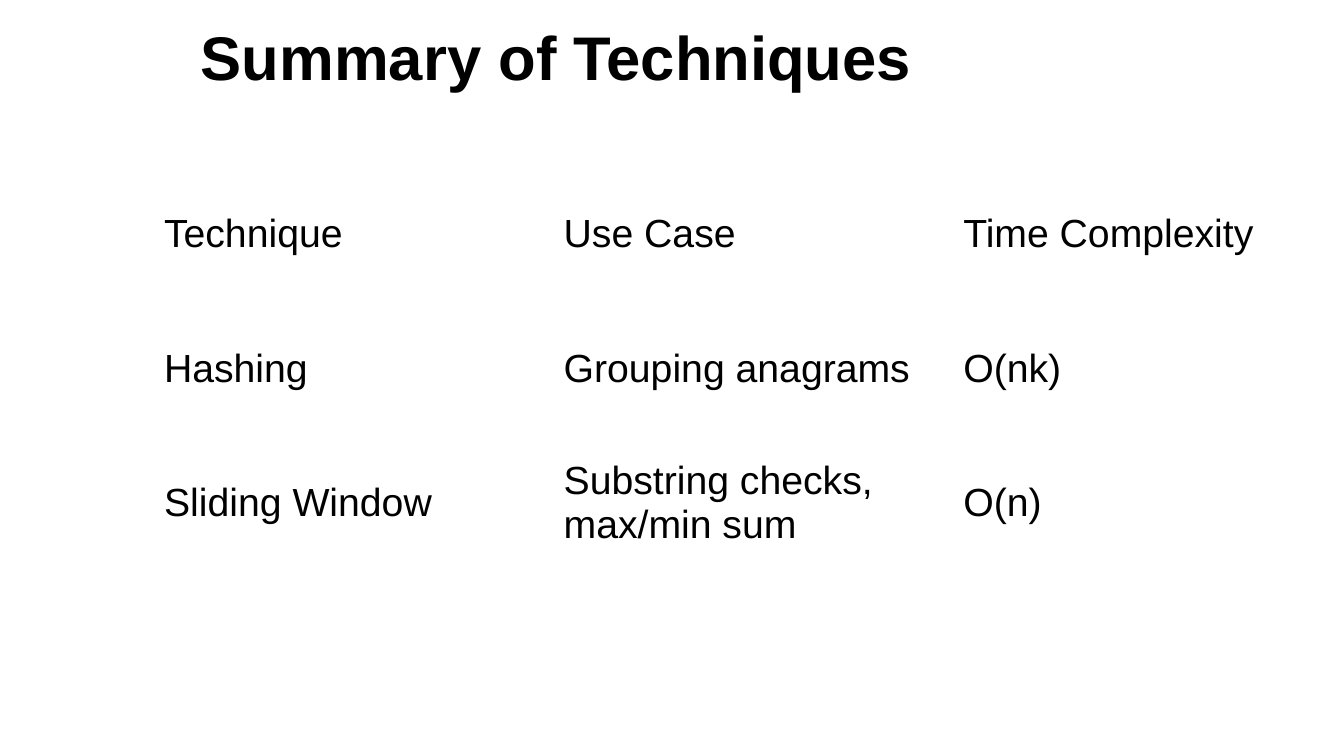
from pptx import Presentation
from pptx.dml.color import RGBColor
from pptx.enum.text import MSO_ANCHOR, MSO_AUTO_SIZE
from pptx.util import Pt

BLACK = RGBColor(0x00, 0x00, 0x00)
EMU_PER_INCH = 914400
PX_PER_INCH = 100.8

TITLE_FORMAT = {"name": "Arial", "size": Pt(44), "bold": True}
CELL_FORMAT = {"name": "Arial", "size": Pt(28), "bold": False}

TECHNIQUES = [
    ("Technique", "Use Case", "Time Complexity"),
    ("Hashing", "Grouping anagrams", "O(nk)"),
    ("Sliding Window", "Substring checks, max/min sum", "O(n)"),
]


def px(*lengths):
    """Turn pixel lengths into a list of EMU lengths."""
    return [round(length * EMU_PER_INCH / PX_PER_INCH) for length in lengths]


def write(text_frame, text, font_format):
    run = text_frame.paragraphs[0].add_run()
    run.text = text
    for attribute, value in font_format.items():
        setattr(run.font, attribute, value)
    run.font.color.rgb = BLACK


prs = Presentation()
prs.slide_width, prs.slide_height = px(1344, 756)
slide = prs.slides.add_slide(prs.slide_layouts[6])

# Title
title = slide.shapes.add_textbox(*px(191, 14, 1125, 85)).text_frame
title.word_wrap = True
title.auto_size = MSO_AUTO_SIZE.SHAPE_TO_FIT_TEXT
write(title, "Summary of Techniques", TITLE_FORMAT)

# Table of techniques, with equal columns and rows
summary = slide.shapes.add_table(
    len(TECHNIQUES), len(TECHNIQUES[0]), *px(154, 167, 1199, 403)
).table
summary.first_row = False
summary.horz_banding = False
for row, texts in enumerate(TECHNIQUES):
    for column, text in enumerate(texts):
        cell = summary.cell(row, column)
        cell.fill.background()
        cell.vertical_anchor = MSO_ANCHOR.MIDDLE
        write(cell.text_frame, text, CELL_FORMAT)

prs.save("out.pptx")
